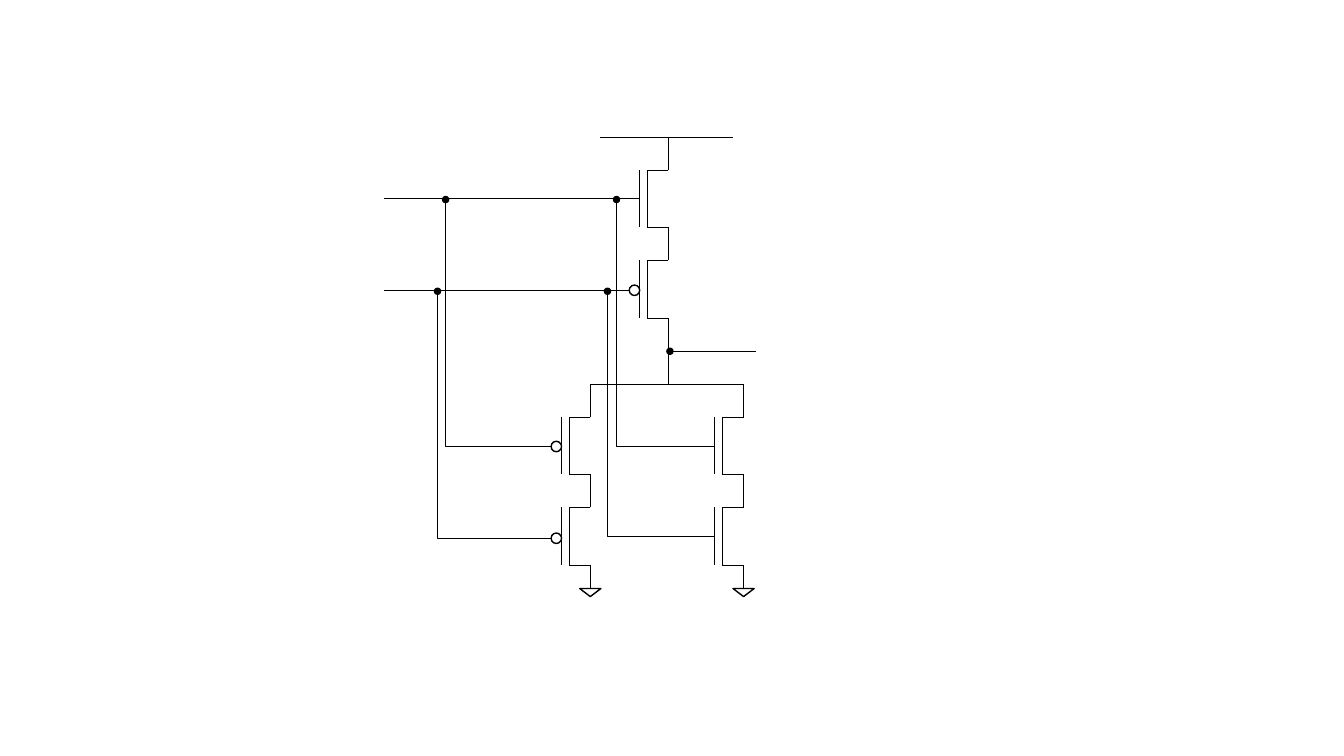
from dataclasses import dataclass

from lxml import etree
from pptx import Presentation
from pptx import util as u
from pptx.dml.color import RGBColor
from pptx.enum import shapes
from pptx.oxml.ns import qn


@dataclass(frozen=True)
class Theme:
    ink: RGBColor = RGBColor(0, 0, 0)
    wire: float = 0.5
    outline: float = 1


class Schematic:
    """Draws circuit parts on a grid of 0.1 inch columns and rows."""
    CELL = u.Inches(0.1)
    LEAD, BODY = 3.27, 5.7      # rows between transistors, rows of one transistor
    CHANNEL, GATE = 2.1, 2.85   # columns left of the drain
    BUBBLE, DOT = 1.04, 0.6     # diameters
    GROUND = (2.1, 0.8)

    def __init__(self, slide, theme):
        self.slide, self.theme = slide, theme

    def grid(self, *cells):
        return [round(c * self.CELL) for c in cells]

    def style_line(self, line, width):
        line.color.rgb = self.theme.ink
        line.width = u.Pt(width)

    def connector(self, kind, *ends):
        sp = self.slide.shapes.add_connector(kind, *self.grid(*ends))
        self.style_line(sp.line, self.theme.wire)
        etree.SubElement(sp._element.spPr, qn("a:effectLst"))
        return sp

    def wire(self, x1, y1, x2, y2):
        self.connector(shapes.MSO_CONNECTOR.STRAIGHT, x1, y1, x2, y2)

    def tap(self, x1, y1, x2, y2):
        """Elbow wire that runs down first, then right."""
        cx, cy = (x1 + x2) / 2, (y1 + y2) / 2
        half_w, half_h = (y2 - y1) / 2, (x2 - x1) / 2
        sp = self.connector(shapes.MSO_CONNECTOR.ELBOW, cx - half_w, cy - half_h,
                            cx + half_w, cy + half_h)
        pr = sp._element.spPr
        pr.find(qn("a:prstGeom")).set("prst", "bentConnector2")
        for name, value in {"rot": "16200000", "flipH": "1"}.items():
            pr.find(qn("a:xfrm")).set(name, value)

    def symbol(self, kind, cx, cy, w, h, filled=False):
        sp = self.slide.shapes.add_shape(
            kind, *self.grid(cx - w / 2, cy - h / 2, w, h))
        sp.shadow.inherit = False
        self.style_line(sp.line, self.theme.outline)
        if filled:
            sp.fill.solid()
            sp.fill.fore_color.rgb = self.theme.ink
        else:
            sp.fill.background()
        return sp

    def dot(self, x, y):
        self.symbol(shapes.MSO_SHAPE.OVAL, x, y, self.DOT, self.DOT, filled=True)

    def ground(self, x, y, lead=2.35):
        w, h = self.GROUND
        self.wire(x, y, x, y + lead)
        sp = self.symbol(shapes.MSO_SHAPE.ISOSCELES_TRIANGLE, x, y + lead + h / 2, w, h)
        sp._element.spPr.find(qn("a:xfrm")).set("flipV", "1")

    def transistor(self, x, top, gate_row, inverted):
        bottom, channel, gate = top + self.BODY, x - self.CHANNEL, x - self.GATE
        self.wire(x, top, channel, top)
        self.wire(channel, top, channel, bottom)
        self.wire(channel, bottom, x, bottom)
        self.wire(gate, top, gate, bottom)
        if inverted:
            self.symbol(shapes.MSO_SHAPE.OVAL, gate - self.BUBBLE / 2, gate_row,
                        self.BUBBLE, self.BUBBLE)

    def stack(self, x, top, gates):
        """Transistors in series; gates holds (row, inverted). Returns the end row."""
        for gate_row, inverted in gates:
            self.wire(x, top, x, top + self.LEAD)
            top += self.LEAD
            self.transistor(x, top, gate_row, inverted)
            top += self.BODY
        return top


def main():
    prs = Presentation()
    prs.slide_width, prs.slide_height = u.Inches(13.33), u.Inches(7.5)
    s = Schematic(prs.slides.add_slide(prs.slide_layouts[6]), Theme())

    supply, join, output = 13.6, 38.1, 34.85
    input_a, input_b, input_left = 19.7, 28.8, 38.1
    upper, left, right = 66.3, 58.55, 73.75
    left_gates, right_gates = (44.3, 53.4), (44.25, 53.2)

    s.wire(59.5, supply, 72.7, supply)
    end = s.stack(upper, supply, [(input_a, False), (input_b, True)])
    s.wire(upper, end, upper, join)
    s.wire(left, join, right, join)
    for x, rows, inverted in ((left, left_gates, True), (right, right_gates, False)):
        s.ground(x, s.stack(x, join, [(row, inverted) for row in rows]))

    s.wire(upper, output, 75, output)
    s.dot(66.45, output)

    left_end = left - s.GATE - s.BUBBLE
    right_end = right - s.GATE
    s.wire(input_left, input_a, upper - s.GATE, input_a)
    s.wire(input_left, input_b, upper - s.GATE - s.BUBBLE, input_b)
    for x, y, gate_x, gate_y in (
            (44.2, input_a, left_end, left_gates[0]),
            (61.15, input_a, right_end, right_gates[0]),
            (60.25, input_b, right_end, right_gates[1]),
            (43.4, input_b, left_end, left_gates[1])):
        s.tap(x, y, gate_x, gate_y)
        s.dot(x, y + 0.1)

    prs.save("out.pptx")


if __name__ == "__main__":
    main()
